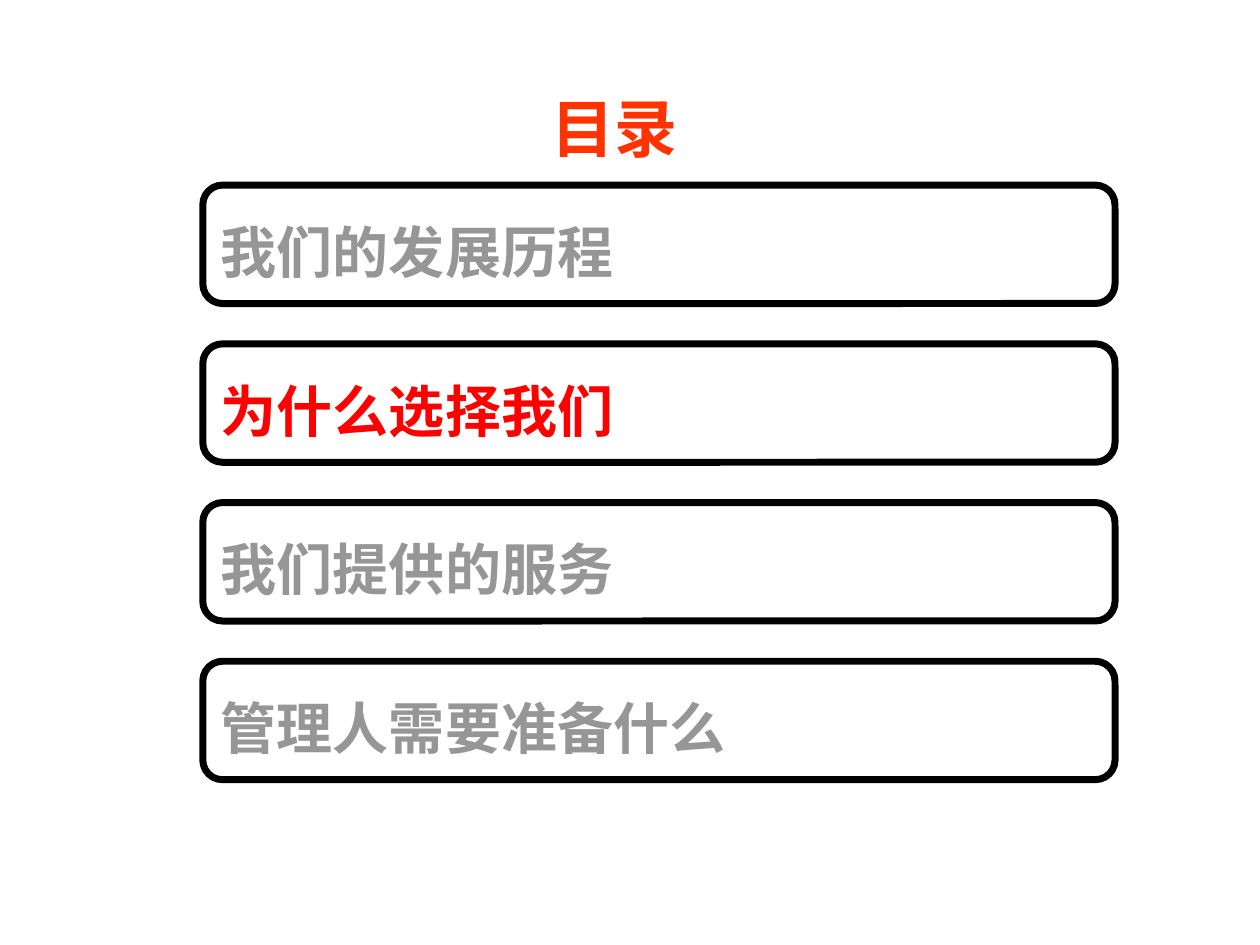
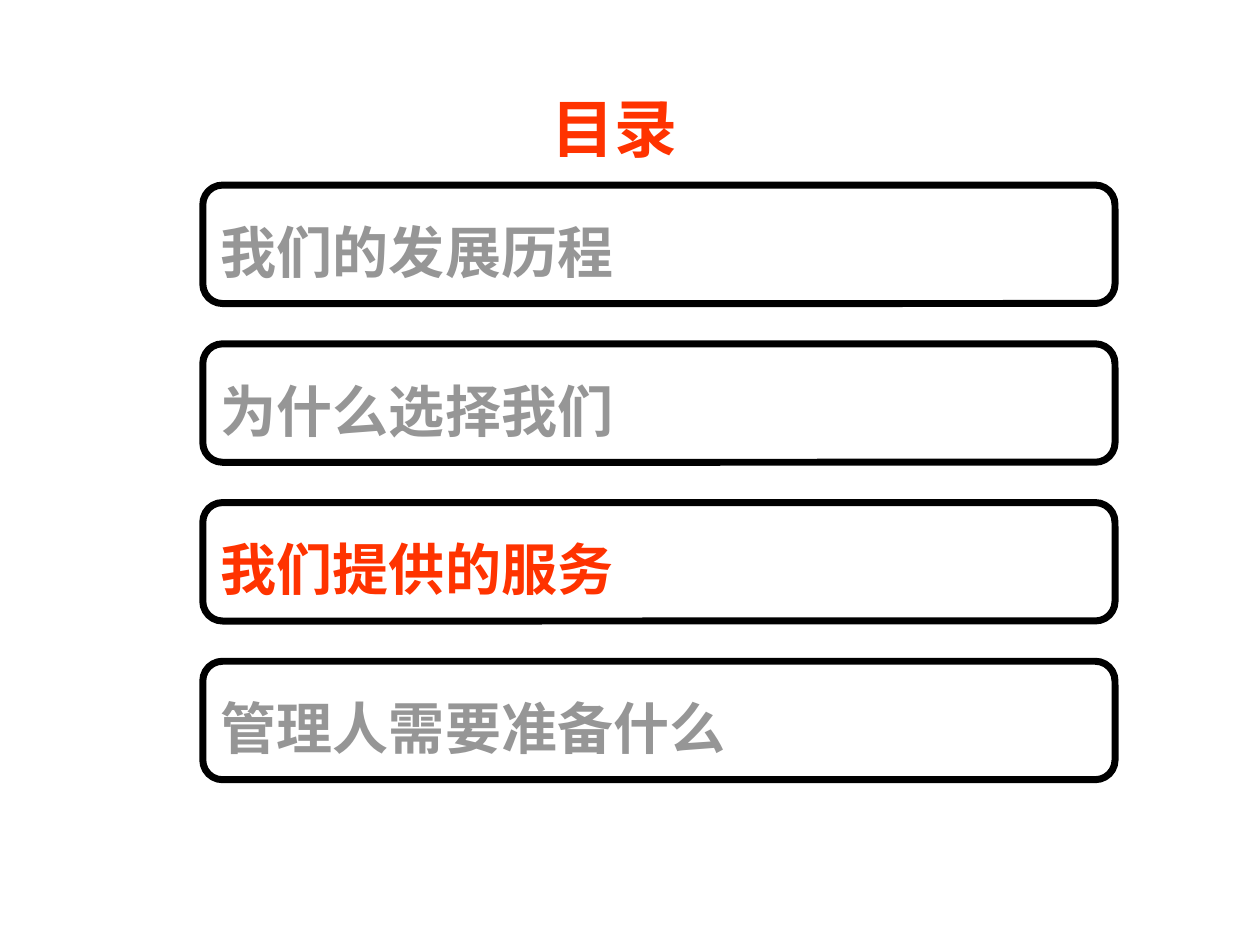
from dataclasses import dataclass
from lxml.etree import SubElement
from pptx import Presentation
from pptx.dml.color import RGBColor as Rgb
from pptx.enum.shapes import MSO_SHAPE as Shape
from pptx.enum.text import MSO_ANCHOR as Anchor, PP_ALIGN as Align
from pptx.oxml.ns import qn
from pptx.util import Pt


@dataclass(frozen=True)
class Theme:
    font: str = "Noto Sans CJK SC"
    title: str = "FF3300"
    red: str = "FF0000"
    gray: str = "969696"
    line: str = "000000"
    head_size: int = 36
    item_size: int = 32


theme = Theme()


def write(box, text, size, color, align=Align.LEFT):
    """Fill a box with one bold paragraph."""
    frame = box.text_frame
    frame.word_wrap = False
    frame.vertical_anchor = Anchor.MIDDLE
    para = frame.paragraphs[0]
    para.alignment = align
    para.line_spacing = 1.2
    para.space_before = para.space_after = Pt(size / 8)
    # Hanging indent
    props = para._p.get_or_add_pPr()
    props.set("marL", str(Pt(27)))
    props.set("indent", str(Pt(-27)))
    run = para.add_run()
    run.text = text
    font = run.font
    font.size, font.bold = Pt(size), True
    font.color.rgb = Rgb.from_string(color)
    font.name = theme.font
    SubElement(run._r.get_or_add_rPr(), qn("a:ea"), typeface=theme.font)


items = ["我们的发展历程", "为什么选择我们", "我们提供的服务", "管理人需要准备什么"]

# Current item of each slide and its colour
slides = [(1, theme.red), (2, theme.title)]

# Geometry of the item rows
left, top, width, height, step = 115.9, 105.8, 521.3, 67.7, 90.7

deck = Presentation()
deck.slide_width, deck.slide_height = Pt(720), Pt(540)

for active, accent in slides:
    slide = deck.slides.add_slide(deck.slide_layouts[6])

    # Title
    head = slide.shapes.add_textbox(Pt(297.4), Pt(37.4), Pt(108), Pt(62.6))
    write(head, "目录", theme.head_size, theme.title, Align.CENTER)

    # Framed items
    for row, item in enumerate(items):
        card = slide.shapes.add_shape(
            Shape.ROUNDED_RECTANGLE,
            Pt(left), Pt(top + row * step), Pt(width), Pt(height))
        card.shadow.inherit = False
        card.fill.background()
        card.line.color.rgb = Rgb.from_string(theme.line)
        card.line.width = Pt(4)
        color = accent if row == active else theme.gray
        write(card, item, theme.item_size, color)

deck.save("out.pptx")
